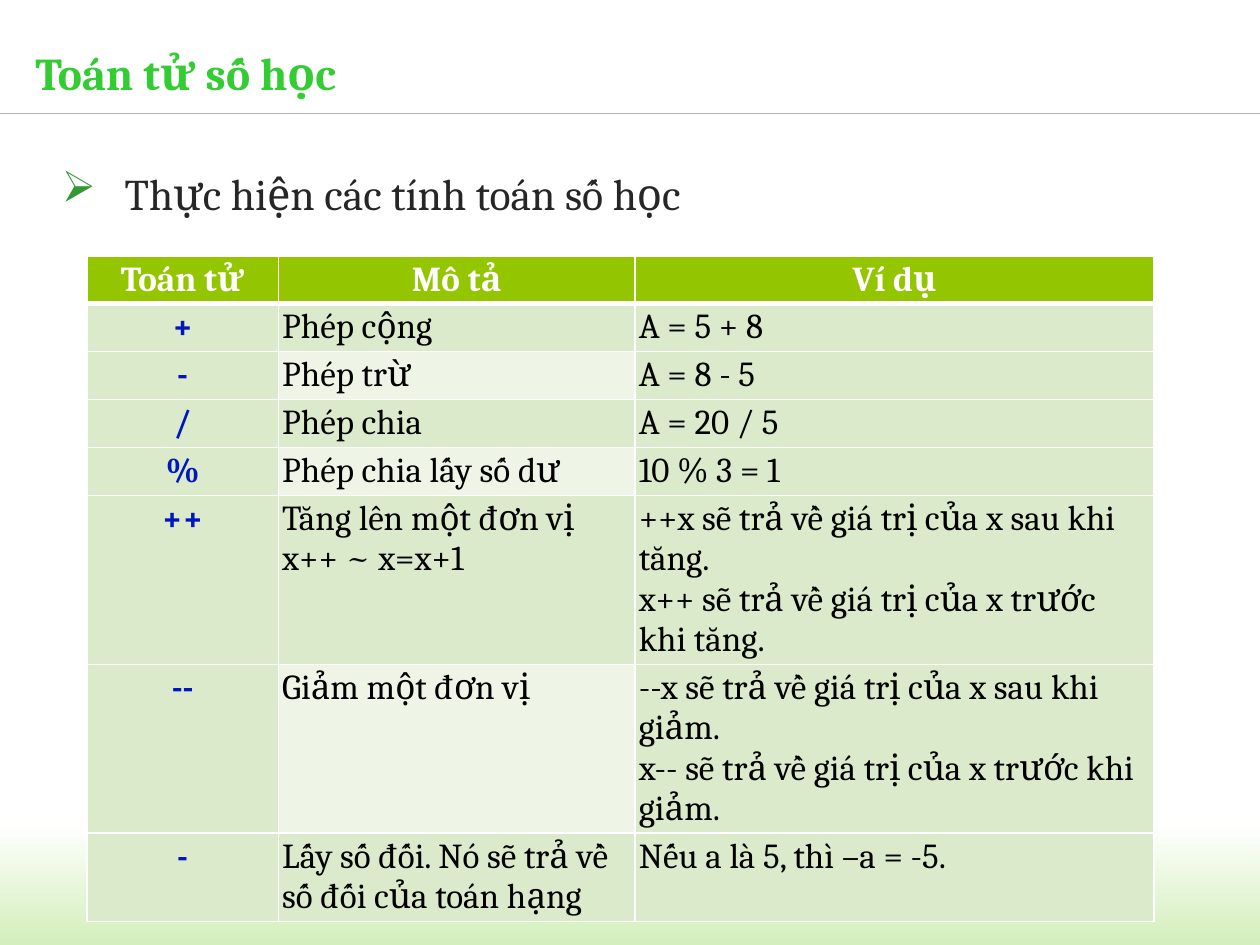
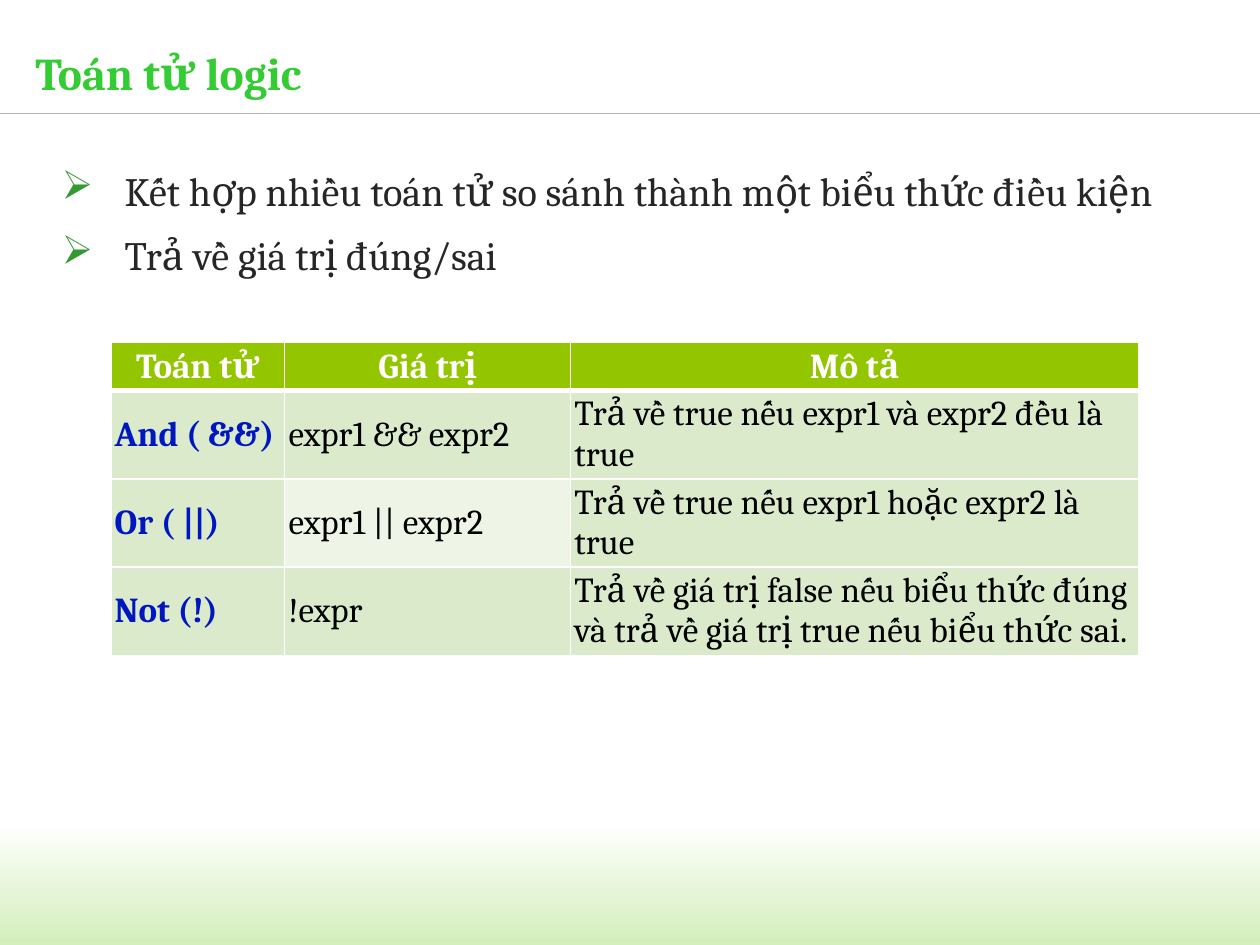
from lxml import etree
from pptx import Presentation
from pptx.dml.color import RGBColor
from pptx.enum.shapes import MSO_CONNECTOR as Connector, MSO_SHAPE as Shape
from pptx.enum.text import MSO_ANCHOR as Anchor, MSO_AUTO_SIZE as AutoSize, PP_ALIGN as Align
from pptx.oxml.ns import qn
from pptx.util import Inches, Pt

FONT = "Cambria"
COLORS = {
    "title": "33CC33",
    "body": "262626",
    "bullet": "339933",
    "rule": "B2B2B2",
    "band": "D3EFBB",
    "white": "FFFFFF",
    "black": "000000",
    "operator": "0017C0",
    "header": "94C600",
    "row": "DCEACC",
    "light_row": "EEF5E7",
}
TITLE_SIZE = 26
TABLE_SIZE = 20
LINE_HEIGHT = 0.32
CELL_MARGIN = 0.03


def rgb(name):
    return RGBColor.from_string(COLORS[name])


class Deck:
    def __init__(self):
        self.presentation = Presentation()
        self.presentation.slide_width = Inches(10)
        self.presentation.slide_height = Inches(7.5)
        self.slide = None

    def start_slide(self, title):
        layout = self.presentation.slide_layouts.get_by_name("Title Only")
        self.slide = self.presentation.slides.add_slide(layout)
        self.add_band()
        self.add_rule()
        self.set_title(title)

    def add_band(self):
        band = self.slide.shapes.add_shape(
            Shape.RECTANGLE, 0, Inches(6.53), Inches(10), Inches(0.97))
        band.shadow.inherit = False
        band.line.fill.background()
        band.fill.gradient()
        band.fill.gradient_angle = 270
        for stop, color in zip(band.fill.gradient_stops, ("white", "band")):
            stop.color.rgb = rgb(color)

    def add_rule(self):
        rule = self.slide.shapes.add_connector(
            Connector.STRAIGHT, 0, Inches(0.9), Inches(10), Inches(0.9))
        rule.line.color.rgb = rgb("rule")
        rule.line.width = Pt(0.75)
        etree.SubElement(rule._element.spPr, qn("a:effectLst"))

    def set_title(self, text):
        title = self.slide.shapes.title
        title.left, title.top = Inches(0.28), Inches(0.25)
        title.width, title.height = Inches(9.37), Inches(0.64)
        frame = title.text_frame
        frame.text = text
        self.set_frame(frame, Anchor.MIDDLE)
        self.format_text(frame, TITLE_SIZE, "title", bold=True)

    def add_bullets(self, lines, size):
        box = self.slide.shapes.add_textbox(
            Inches(0.49), Inches(1.32), Inches(9.03), Inches(5.03))
        frame = box.text_frame
        frame.text = "\n".join(lines)
        self.set_frame(frame, Anchor.TOP)
        self.format_text(frame, size, "body")
        for paragraph in frame.paragraphs:
            paragraph.space_after = Pt(round(size * 0.4, 1))
            properties = paragraph._p.get_or_add_pPr()
            properties.set("marL", str(Inches(0.5)))
            properties.set("indent", str(Inches(-0.5)))
            bullet_color = etree.SubElement(properties, qn("a:buClr"))
            etree.SubElement(bullet_color, qn("a:srgbClr"), val=COLORS["bullet"])
            etree.SubElement(properties, qn("a:buChar"), char="➢")

    def add_table(self, left, top, widths, rows, line_counts,
                  operator_align=Align.LEFT, body_anchor=Anchor.TOP):
        heights = [LINE_HEIGHT * count + 2 * CELL_MARGIN for count in line_counts]
        table = self.slide.shapes.add_table(
            len(rows), len(widths), Inches(left), Inches(top),
            Inches(sum(widths)), Inches(sum(heights))).table
        table.horz_banding = False
        for column, width in zip(table.columns, widths):
            column.width = Inches(width)
        for row, height in zip(table.rows, heights):
            row.height = Inches(height)
        for row_index, texts in enumerate(rows):
            for column_index, text in enumerate(texts):
                cell = table.cell(row_index, column_index)
                cell.text_frame.text = text
                if row_index == 0:
                    color, fill, align = "white", "header", Align.CENTER
                elif column_index == 0:
                    color, fill, align = "operator", "row", operator_align
                else:
                    light = column_index == 1 and row_index % 2 == 0
                    color, align = "black", Align.LEFT
                    fill = "light_row" if light else "row"
                self.set_borders(cell, row_index)
                cell.fill.solid()
                cell.fill.fore_color.rgb = rgb(fill)
                cell.margin_left = cell.margin_right = Inches(CELL_MARGIN)
                cell.margin_top = cell.margin_bottom = Inches(CELL_MARGIN)
                cell.vertical_anchor = body_anchor if row_index else Anchor.TOP
                self.format_text(cell.text_frame, TABLE_SIZE, color,
                                 bold=color != "black", align=align)

    def set_borders(self, cell, row_index):
        thick_edge = {0: "lnB", 1: "lnT"}.get(row_index)
        properties = cell._tc.get_or_add_tcPr()
        for edge in ("lnL", "lnR", "lnT", "lnB"):
            width = Pt(3 if edge == thick_edge else 1)
            border = etree.SubElement(properties, qn(f"a:{edge}"), w=str(width))
            fill = etree.SubElement(border, qn("a:solidFill"))
            etree.SubElement(fill, qn("a:srgbClr"), val=COLORS["white"])

    def set_frame(self, frame, anchor):
        frame.word_wrap = True
        frame.auto_size = AutoSize.NONE
        frame.vertical_anchor = anchor
        frame.margin_left = frame.margin_right = 0
        frame.margin_top = frame.margin_bottom = 0

    def format_text(self, frame, size, color, bold=False, align=Align.LEFT):
        for paragraph in frame.paragraphs:
            paragraph.alignment = align
            for run in paragraph.runs:
                run.font.name = FONT
                run.font.size = Pt(size)
                run.font.bold = bold
                run.font.color.rgb = rgb(color)


def main():
    deck = Deck()

    deck.start_slide("Toán tử số học")
    deck.add_bullets(["Thực hiện các tính toán số học"], 25)
    arithmetic_rows = [
        ("Toán tử", "Mô tả", "Ví dụ"),
        ("+", "Phép cộng", "A = 5 + 8"),
        ("-", "Phép trừ", "A = 8 - 5"),
        ("/", "Phép chia", "A = 20 / 5"),
        ("%", "Phép chia lấy số dư", "10 % 3 = 1"),
        ("++", "Tăng lên một đơn vị\nx++ ~ x=x+1",
         "++x sẽ trả về giá trị của x sau khi tăng.\n"
         "x++ sẽ trả về giá trị của x trước khi tăng."),
        ("--", "Giảm một đơn vị",
         "--x sẽ trả về giá trị của x sau khi giảm.\n"
         "x-- sẽ trả về giá trị của x trước khi giảm."),
        ("-", "Lấy số đối. Nó sẽ trả về số đối của toán hạng",
         "Nếu a là 5, thì –a = -5."),
    ]
    deck.add_table(0.69, 2.03, (1.52, 2.83, 4.12), arithmetic_rows,
                   (1, 1, 1, 1, 1, 4, 4, 2), operator_align=Align.CENTER)

    deck.start_slide("Toán tử logic")
    deck.add_bullets([
        "Kết hợp nhiều toán tử so sánh thành một biểu thức điều kiện",
        "Trả về giá trị đúng/sai",
    ], 23)
    logic_rows = [
        ("Toán tử", "Giá trị", "Mô tả"),
        ("And ( &&)", "expr1 && expr2",
         "Trả về true nếu expr1 và expr2 đều là true"),
        ("Or ( ||)", "expr1 || expr2",
         "Trả về true nếu expr1 hoặc expr2 là true"),
        ("Not (!)", "!expr",
         "Trả về giá trị false nếu biểu thức đúng và trả về giá trị true "
         "nếu biểu thức sai."),
    ]
    deck.add_table(0.88, 2.72, (1.38, 2.27, 4.51), logic_rows,
                   (1, 2, 2, 2), body_anchor=Anchor.MIDDLE)

    deck.presentation.save("out.pptx")


if __name__ == "__main__":
    main()
